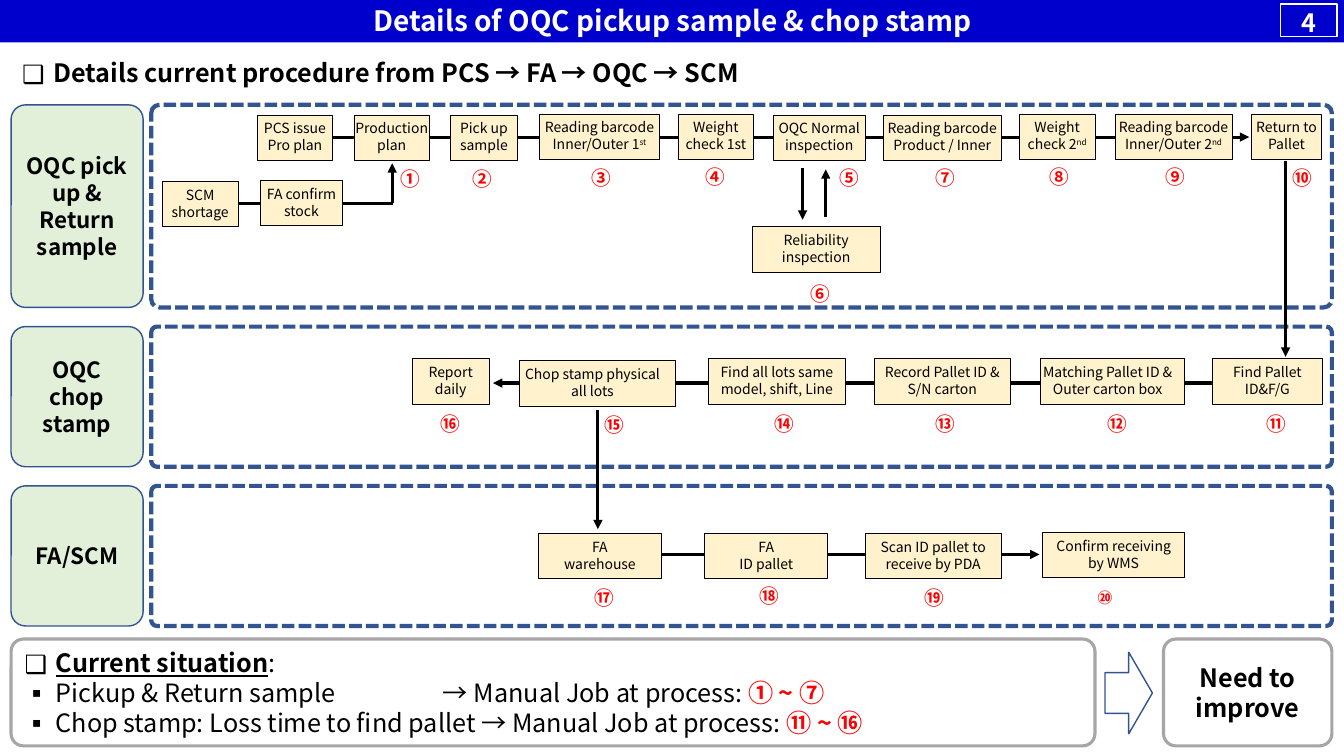
from lxml.etree import SubElement
from pptx import Presentation
from pptx.dml.color import RGBColor
from pptx.enum.dml import MSO_LINE
from pptx.enum.shapes import MSO_CONNECTOR, MSO_SHAPE
from pptx.enum.text import MSO_ANCHOR, PP_ALIGN
from pptx.oxml.ns import qn
from pptx.util import Inches, Pt

FONT = "Noto Sans CJK JP"
COLOURS = {
    "black": "000000", "white": "FFFFFF", "title": "0000CC", "step": "FFF2CC",
    "label": "E2F0D9", "navy": "325491", "grey": "A6A6A6", "red": "FF0000",
}
CELL = 0.1

STEPS = [
    (25.5, 11.4, 7.5, "PCS issue\nPro plan"),
    (35.1, 11.4, 7.5, "Production\nplan"),
    (44.7, 11.4, 6.6, "Pick up\nsample"),
    (53.5, 11.3, 11.9, "Reading barcode\nInner/Outer 1^st"),
    (67.3, 11.3, 7.4, "Weight\ncheck 1st"),
    (76.7, 11.4, 9.1, "OQC Normal\ninspection"),
    (87.6, 11.4, 11.7, "Reading barcode\nProduct / Inner"),
    (101.1, 11.3, 7.5, "Weight\ncheck 2^nd"),
    (110.6, 11.3, 11.6, "Reading barcode\nInner/Outer 2^nd"),
    (124.1, 11.3, 7, "Return to\nPallet"),
    (16.1, 18, 7.5, "SCM\nshortage"),
    (25.8, 17.9, 8.2, "FA confirm\nstock"),
    (74.6, 22.5, 12.7, "Reliability\ninspection"),
    (120.2, 35.6, 11, "Find Pallet\nID&F/G"),
    (103.2, 35.6, 14.3, "Matching Pallet ID &\nOuter carton box", 1),
    (86.7, 35.6, 13.5, "Record Pallet ID &\nS/N carton"),
    (70.3, 35.6, 13.5, "Find all lots same\nmodel, shift, Line"),
    (51.5, 35.8, 15.5, "Chop stamp physical\nall lots", 1),
    (40.9, 35.6, 7.6, "Report\ndaily"),
    (53.4, 52.9, 12.2, "FA\nwarehouse"),
    (69.9, 52.9, 12.2, "FA\nID pallet"),
    (85.8, 52.9, 13.5, "Scan ID pallet to\nreceive by PDA"),
    (103.4, 52.8, 14.1, "Confirm receiving\nby WMS"),
]
NUMBERS = "①②③④⑤⑥⑦⑧⑨⑩⑪⑫⑬⑭⑮⑯⑰⑱⑲⑳"
NUMBER_CENTRES = [
    (40.65, 17.7), (47.85, 17.7), (59.65, 17.6), (70.95, 17.5), (84.2, 17.6),
    (81.4, 29.1), (93.75, 17.6), (105.1, 17.5), (116.6, 17.5), (129.2, 17.6),
    (126.6, 42), (110.8, 42), (93.8, 42), (77.8, 42), (60.9, 42.1), (44.7, 42),
    (59.9, 59.3), (76.3, 59.1), (92.7, 59.3), (109.6, 59.3),
]
FLOWS = [
    (23.6, 20.2, 39, 20.2, False),
    (38.9, 20.1, 38.9, 16.2, True),
    (30.1, 13.6, 123.9, 13.6, True),
    (127.5, 16, 127.5, 35.4, True),
    (121.9, 38, 48.9, 38, True),
    (59.3, 40.7, 59.3, 52.5, True),
    (59.9, 55, 103.1, 55, True),
    (79.6, 16.7, 79.6, 21.8, True),
    (81.9, 21.5, 81.9, 16.8, True),
]
STAGES = [
    (10.4, 20.1, "OQC pick up & Return sample"),
    (32.4, 13.9, "OQC chop stamp"),
    (48.2, 13.9, "FA/SCM"),
]


def grid(*cells):
    return [Inches(cell * CELL) for cell in cells]


def colour(name):
    return RGBColor.from_string(COLOURS[name])


def add_panel(page, kind, place, fill=None, line=None, width=1, corner=None):
    panel = page.shapes.add_shape(kind, *grid(*place))
    panel.shadow.inherit = False
    if corner is not None:
        panel.adjustments[0] = corner
    if fill:
        panel.fill.solid()
        panel.fill.fore_color.rgb = colour(fill)
    else:
        panel.fill.background()
    if line:
        panel.line.color.rgb = colour(line)
        panel.line.width = Pt(width)
    else:
        panel.line.fill.background()
    return panel


def set_frame(box, anchor=MSO_ANCHOR.MIDDLE, insets=(1, 0.5, 1, 0.5)):
    frame = box.text_frame
    frame.word_wrap = True
    frame.vertical_anchor = anchor
    (frame.margin_left, frame.margin_top,
     frame.margin_right, frame.margin_bottom) = grid(*insets)
    return frame


def style(para, size, ink="black", bold=False, align=PP_ALIGN.CENTER):
    para.alignment = align
    font = para.font
    font.name, font.size, font.bold = FONT, Pt(size), bold
    font.color.rgb = colour(ink)
    defaults = para._p.pPr.find(qn("a:defRPr"))
    SubElement(defaults, qn("a:ea")).set("typeface", FONT)


def write(box, text, size, ink="black", bold=True, **frame_options):
    para = set_frame(box, **frame_options).paragraphs[0]
    style(para, size, ink, bold)
    for index, line in enumerate(text.split("\n")):
        if index:
            para.add_line_break()
        base, _, raised = line.partition("^")
        para.add_run().text = base
        if raised:
            span = para.add_run()
            span.text = raised
            span._r.get_or_add_rPr().set("baseline", "30000")


def write_bullet(para, mark, spans, bold=False, tab=None):
    props = para._p.get_or_add_pPr()
    props.set("marL", str(Inches(0.31)))
    props.set("indent", str(-Inches(0.31)))
    SubElement(props, qn("a:buFont")).set("typeface", FONT)
    SubElement(props, qn("a:buChar")).set("char", mark)
    if tab:
        stop = SubElement(SubElement(props, qn("a:tabLst")), qn("a:tab"))
        stop.set("pos", str(Inches(tab)))
        stop.set("algn", "l")
    style(para, 18, bold=bold, align=PP_ALIGN.LEFT)
    for text, look in spans:
        span = para.add_run()
        span.text = text
        if look:
            span.font.bold = True
        if look == "heading":
            span.font.underline = True
        if look == "number":
            span.font.color.rgb = colour("red")


def add_flow(page, left, top, right, bottom, arrow):
    flow = page.shapes.add_connector(
        MSO_CONNECTOR.STRAIGHT, *grid(left, top, right, bottom))
    flow.line.color.rgb = colour("black")
    flow.line.width = Pt(2.25)
    if arrow:
        SubElement(flow.line._get_or_add_ln(), qn("a:tailEnd")).set("type", "triangle")
    SubElement(flow._element.spPr, qn("a:effectLst"))


def add_step(page, left, top, width, text, right_inset=0):
    step = add_panel(page, MSO_SHAPE.RECTANGLE, (left, top, width, 4.5),
                     "step", "black", 0.5)
    write(step, text, 10, bold=False, anchor=MSO_ANCHOR.TOP,
          insets=(0, 0.5, right_inset, 0.5))


def add_number(page, number, centre):
    across, down = centre
    box = page.shapes.add_textbox(*grid(across - 3.5, down - 2.1, 7, 4.2))
    write(box, number, 10.5 if number == "⑳" else 14, "red")


def add_stage(page, top, height, name):
    label = add_panel(page, MSO_SHAPE.ROUNDED_RECTANGLE, (1.1, top, 13.1, height),
                      "label", "navy", 1, 0.11)
    write(label, name, 16)
    lane = add_panel(page, MSO_SHAPE.ROUNDED_RECTANGLE, (15, top, 117.1, height),
                     line="navy", width=3, corner=0.04)
    lane.line.dash_style = MSO_LINE.SQUARE_DOT


def add_header(page):
    banner = add_panel(page, MSO_SHAPE.RECTANGLE, (0, -0.2, 133.4, 4.4), "title")
    write(banner, "Details of OQC pickup sample & chop stamp", 20, "white")
    number = add_panel(page, MSO_SHAPE.RECTANGLE, (127, 0.4, 5.6, 3.2), line="white")
    write(number, "4", 18, "white", insets=(1, 0.5, 1, 0))
    heading = page.shapes.add_textbox(*grid(1.2, 5.2, 130.9, 4))
    frame = set_frame(heading, MSO_ANCHOR.TOP)
    write_bullet(frame.paragraphs[0], "❑",
                 [("Details current procedure from PCS → FA → OQC → SCM", None)], True)


def add_summary(page):
    situation, advice = [
        add_panel(page, MSO_SHAPE.ROUNDED_RECTANGLE, (left, 63.4, width, 10.6),
                  line="grey", width=2.25, corner=0.115)
        for left, width in ((1.1, 107.5), (115.4, 16.7))]
    frame = set_frame(situation, insets=(1, 0, 1, 0))
    write_bullet(frame.paragraphs[0], "❑", [("Current situation", "heading"), (":", None)])
    write_bullet(frame.add_paragraph(), "▪", [
        ("Pickup & Return sample\t→ Manual Job at process: ", None),
        ("① ~ ⑦", "number")], tab=4.15)
    write_bullet(frame.add_paragraph(), "▪", [
        ("Chop stamp: Loss time to find pallet → Manual Job at process: ", None),
        ("⑪ ~ ⑯", "number")])
    add_panel(page, MSO_SHAPE.RIGHT_ARROW, (109.6, 64.7, 4.7, 8.1), line="navy")
    write(advice, "Need to improve", 18, insets=(1, 0, 1, 0))


def main():
    deck = Presentation()
    deck.slide_width, deck.slide_height = Inches(13.33), Inches(7.5)
    page = deck.slides.add_slide(deck.slide_layouts[6])
    add_header(page)
    for stage in STAGES:
        add_stage(page, *stage)
    for flow in FLOWS:
        add_flow(page, *flow)
    for step in STEPS:
        add_step(page, *step)
    for number, centre in zip(NUMBERS, NUMBER_CENTRES):
        add_number(page, number, centre)
    add_summary(page)
    deck.save("out.pptx")


if __name__ == "__main__":
    main()
